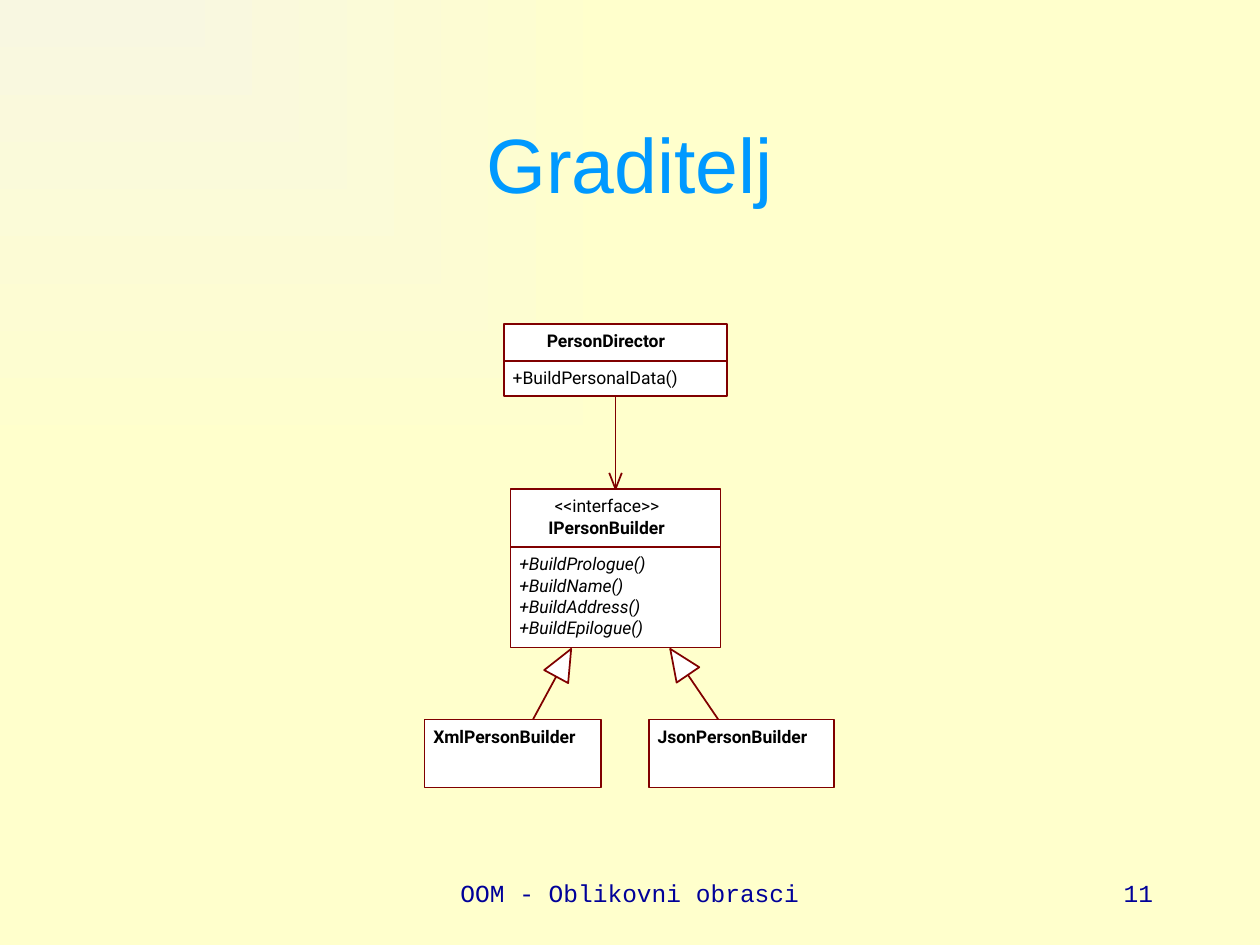
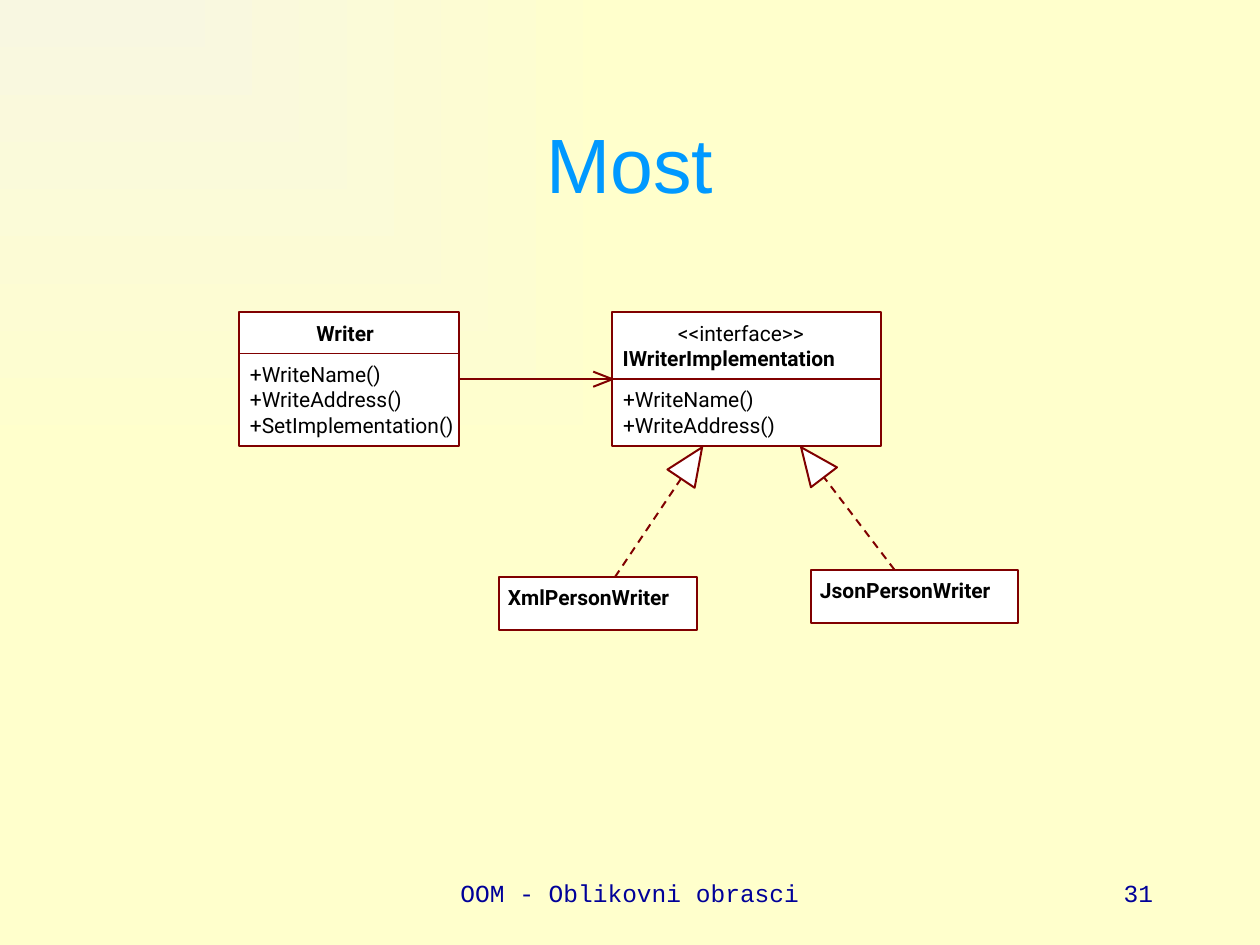
from dataclasses import dataclass
from math import hypot
from typing import Any

from lxml.etree import SubElement
from pptx import Presentation
from pptx.dml.color import RGBColor as Color
from pptx.enum.dml import MSO_LINE as Dash
from pptx.enum.shapes import MSO_CONNECTOR as Link, MSO_SHAPE as Preset
from pptx.enum.text import MSO_ANCHOR as Anchor, PP_ALIGN as Align
from pptx.oxml.ns import qn
from pptx.util import Pt


@dataclass(frozen=True)
class Theme:
    glow: Color = Color.from_string("F8F7E1")
    paper: Color = Color.from_string("FFFFCC")
    title: Color = Color.from_string("0099FF")
    footer: Color = Color.from_string("000099")
    ink: Color = Color.from_string("000000")
    panel: Color = Color.from_string("FFFFFF")
    stroke: Color = Color.from_string("800000")
    title_size: float = 44
    footer_size: float = 14
    title_font: str = "Arial"
    footer_font: str = "Courier New"
    diagram_font: str = "Roboto"


THEME = Theme()
TOP, LEFT, BOTTOM, RIGHT = range(4)


def set_values(target, **values):
    for name, value in values.items():
        setattr(target, name, value)


def add_text(page, frame, lines, font, color, size, align=Align.LEFT,
             anchor=Anchor.TOP, insets=(0, 0), pitch=None, **style):
    box = page.shapes.add_textbox(*map(Pt, frame))
    side, edge = map(Pt, insets)
    set_values(box.text_frame, word_wrap=True, vertical_anchor=anchor,
               margin_left=side, margin_right=side,
               margin_top=edge, margin_bottom=edge)
    for number, line in enumerate(lines):
        para = box.text_frame.add_paragraph() if number else box.text_frame.paragraphs[0]
        set_values(para, alignment=align, line_spacing=pitch)
        span = para.add_run()
        span.text = line
        set_values(span.font, name=font, size=Pt(size), **style)
        span.font.color.rgb = color


def paint_background(master):
    """Give every page a gradient that spreads from the top left corner."""
    fill = master.background.fill
    fill.gradient()
    for stop, color in zip(fill.gradient_stops, (THEME.glow, THEME.paper)):
        stop.color.rgb = color
    gradient = master.element.find(".//" + qn("a:gradFill"))
    gradient.remove(gradient.find(qn("a:lin")))
    spread = SubElement(gradient, qn("a:path"), {"path": "rect"})
    SubElement(spread, qn("a:fillToRect"), {"r": "100000", "b": "100000"})


def add_page(deck, title, number):
    page = deck.slides.add_slide(deck.slide_layouts[6])
    common = dict(anchor=Anchor.MIDDLE, insets=(7.2, 3.6))
    add_text(page, (54, 48, 612, 90), [title], THEME.title_font, THEME.title,
             THEME.title_size, Align.CENTER, **common)
    for left, width, text, align in (
            (246, 228, "OOM - Oblikovni obrasci", Align.CENTER),
            (516, 150, str(number), Align.RIGHT)):
        add_text(page, (left, 492, width, 36), [text], THEME.footer_font,
                 THEME.footer, THEME.footer_size, align, **common)
    return page


@dataclass
class ClassDiagram:
    """Draws UML parts whose proportions follow the text size."""
    page: Any
    size: float
    stroke: float

    def outline(self, shape):
        shape.line.color.rgb = THEME.stroke
        shape.line.width = Pt(self.stroke)

    def add_label(self, left, top, width, lines, **style):
        pitch = 1.21 * self.size
        add_text(self.page, (left, top, width, pitch * len(lines)), lines,
                 THEME.diagram_font, THEME.ink, self.size, pitch=Pt(pitch), **style)

    def add_class(self, frame, header, members=(), italic=False):
        """Header holds (text, offset from the left side) pairs."""
        left, top, width, _ = frame
        pad_x, pad_y, pitch = (self.size * part for part in (0.5, 0.36, 1.21))
        box = self.page.shapes.add_shape(Preset.RECTANGLE, *map(Pt, frame))
        box.shadow.inherit = False
        box.fill.solid()
        box.fill.fore_color.rgb = THEME.panel
        self.outline(box)
        for row, (text, offset) in enumerate(header):
            self.add_label(left + offset, top + pad_y + row * pitch, width, [text],
                           bold=not text.startswith("<<"))
        if members:
            divider = top + pitch * len(header) + 9
            self.add_line((left, divider), (left + width, divider))
            self.add_label(left + pad_x, divider + pad_y, width, members, italic=italic)
        return box

    def add_line(self, start, end, dash=None):
        line = self.page.shapes.add_connector(Link.STRAIGHT, *map(Pt, (*start, *end)))
        self.outline(line)
        if dash:
            line.line.dash_style = dash
        SubElement(line.element.spPr, qn("a:effectLst"))
        return line

    def add_head(self, start, tip, length, half_width, hollow):
        """Draw an arrowhead at tip, pointing away from start."""
        (x, y), run, rise = tip, tip[0] - start[0], tip[1] - start[1]
        reach = hypot(run, rise)
        along_x, along_y = run / reach, rise / reach
        base_x, base_y = x - along_x * length, y - along_y * length
        wings = [(base_x + sign * along_y * half_width,
                  base_y - sign * along_x * half_width) for sign in (1, -1)]
        first, *rest = [tuple(map(Pt, point)) for point in (wings[0], tip, wings[1])]
        builder = self.page.shapes.build_freeform(*first)
        builder.add_line_segments(rest, close=hollow)
        head = builder.convert_to_shape()
        head.shadow.inherit = False
        if hollow:
            head.fill.solid()
            head.fill.fore_color.rgb = THEME.panel
        else:
            head.fill.background()
        self.outline(head)

    def add_association(self, source, source_side, target, target_side):
        line = self.add_line((0, 0), (0, 0))
        line.begin_connect(source, source_side)
        line.end_connect(target, target_side)
        start, tip = ((x.pt, y.pt) for x, y in (
            (line.begin_x, line.begin_y), (line.end_x, line.end_y)))
        self.add_head(start, tip, 0.92 * self.size, 0.36 * self.size, hollow=False)

    def add_inheritance(self, start, tip, dash=None):
        self.add_line(start, tip, dash)
        self.add_head(start, tip, 1.8 * self.size, 0.78 * self.size, hollow=True)


def draw_builder(page):
    diagram = ClassDiagram(page, size=10, stroke=1)
    director = diagram.add_class((288, 185, 127.5, 41.5), [("PersonDirector", 24.5)],
                                 ["+BuildPersonalData()"])
    builder = diagram.add_class(
        (291.75, 279.4, 120, 90.7), [("<<interface>>", 25.2), ("IPersonBuilder", 21.6)],
        ["+BuildPrologue()", "+BuildName()", "+BuildAddress()", "+BuildEpilogue()"],
        italic=True)
    diagram.add_association(director, BOTTOM, builder, TOP)
    for left, width, name, start, tip in (
            (242.6, 101, "XmlPersonBuilder", 304.6, 326.4),
            (370.8, 105.8, "JsonPersonBuilder", 410.4, 383)):
        diagram.add_class((left, 411.1, width, 38.9), [(name, 5)])
        diagram.add_inheritance((start, 411.1), (tip, 370.8))


def draw_bridge(page):
    diagram = ClassDiagram(page, size=12, stroke=1.13)
    writer = diagram.add_class((136.8, 178.5, 125.3, 76.4), [("Writer", 44)],
                               ["+WriteName()", "+WriteAddress()", "+SetImplementation()"])
    implementation = diagram.add_class(
        (350, 178.5, 153.6, 76.4), [("<<interface>>", 37.4), ("IWriterImplementation", 5.8)],
        ["+WriteName()", "+WriteAddress()"])
    diagram.add_association(writer, RIGHT, implementation, LEFT)
    for left, top, width, name, start, tip in (
            (285, 329.8, 113.3, "XmlPersonWriter", 351.4, 401.2),
            (463.4, 325.7, 118.6, "JsonPersonWriter", 511.2, 457.8)):
        diagram.add_class((left, top, width, 30.5), [(name, 5.2)])
        diagram.add_inheritance((start, top), (tip, 255.6), Dash.DASH)


def main():
    deck = Presentation()
    set_values(deck, slide_width=Pt(720), slide_height=Pt(540))
    paint_background(deck.slide_master)
    draw_builder(add_page(deck, "Graditelj", 11))
    draw_bridge(add_page(deck, "Most", 31))
    deck.save("out.pptx")


if __name__ == "__main__":
    main()
